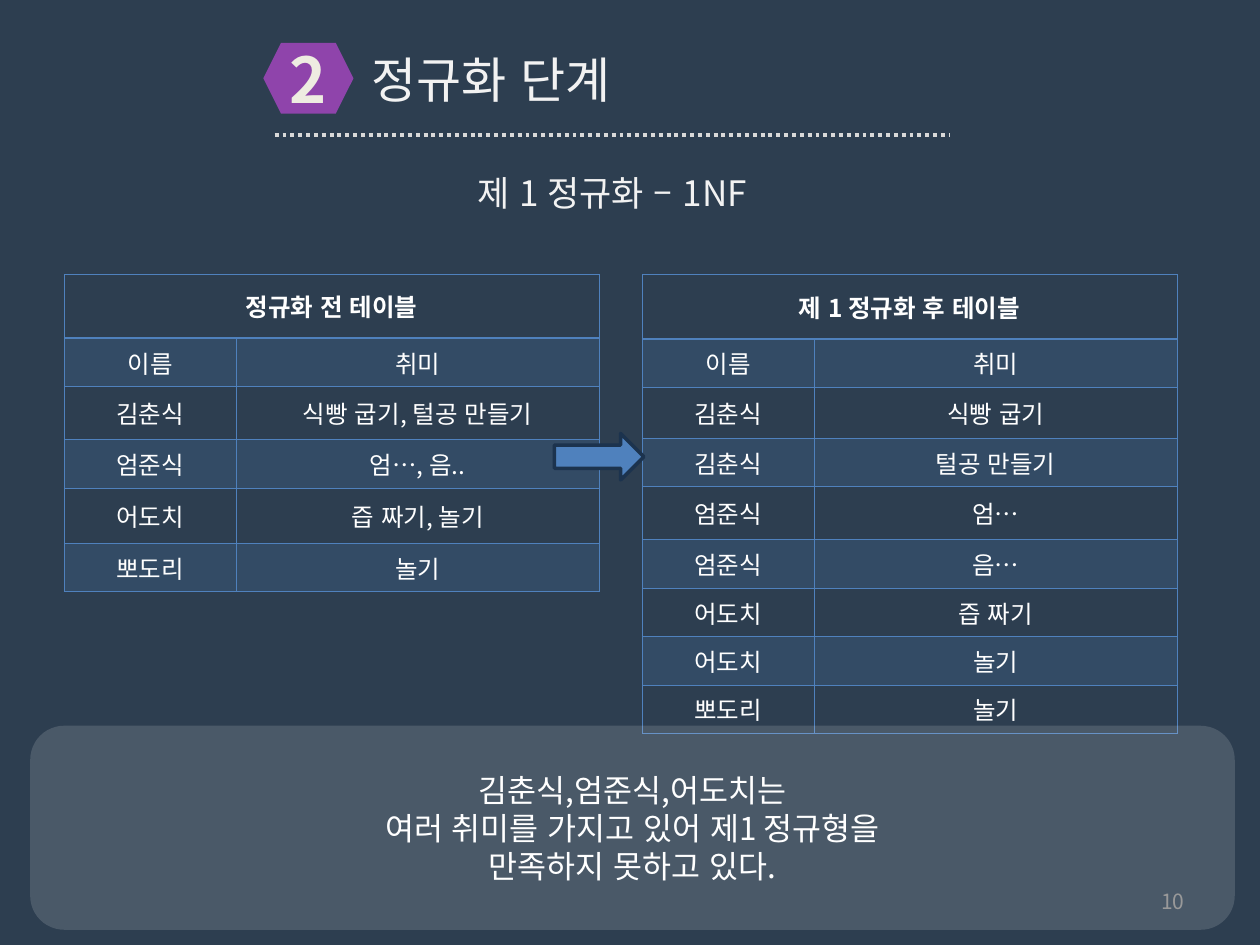
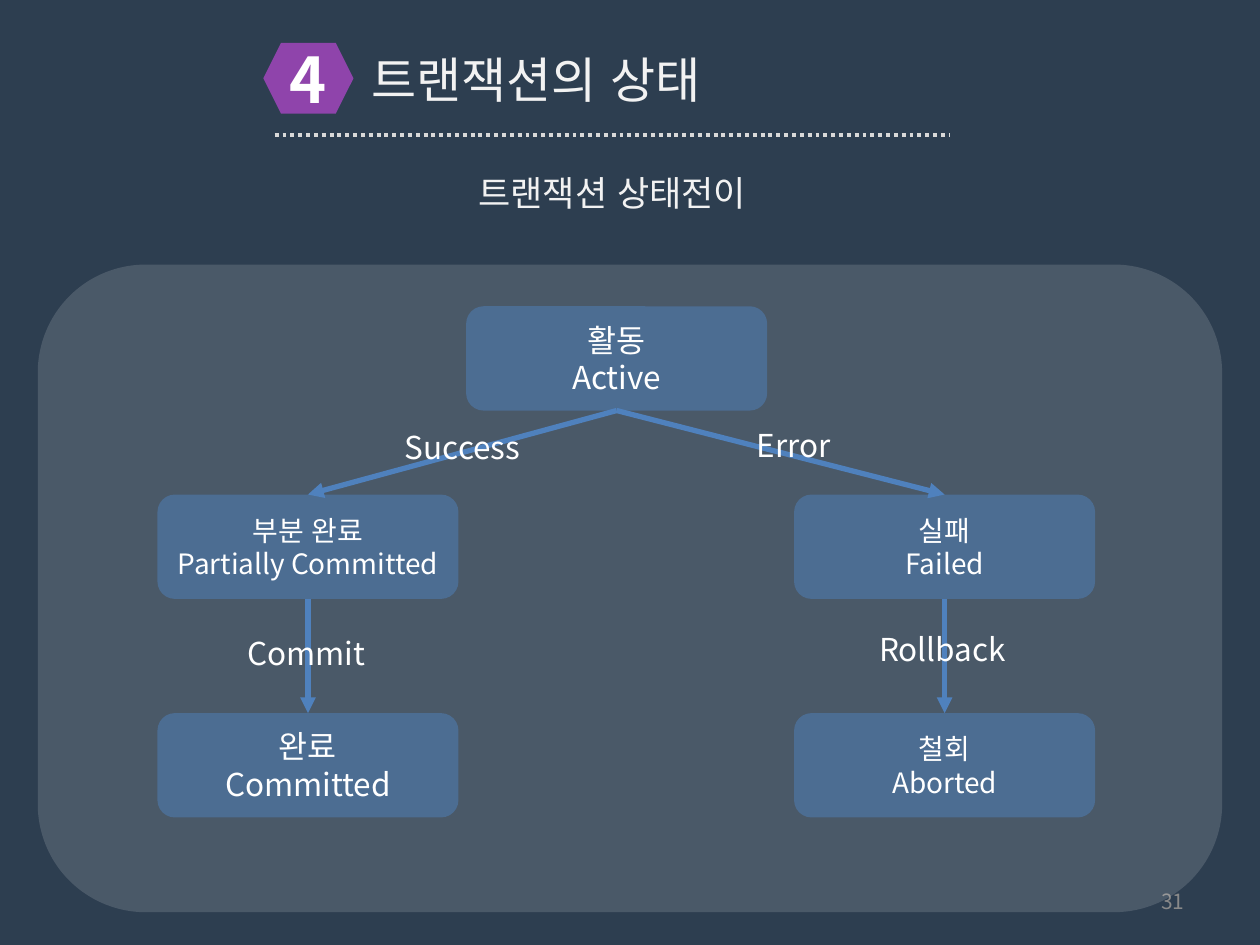
from lxml.etree import SubElement
from pptx import Presentation
from pptx.dml.color import RGBColor
from pptx.enum.dml import MSO_LINE
from pptx.enum.lang import MSO_LANGUAGE_ID
from pptx.enum.shapes import MSO_CONNECTOR, MSO_SHAPE
from pptx.enum.text import MSO_ANCHOR, MSO_AUTO_SIZE, PP_ALIGN
from pptx.oxml.ns import qn
from pptx.util import Pt

NAVY = RGBColor(0x2D, 0x3E, 0x50)
PURPLE = RGBColor(0x8F, 0x44, 0xAB)
BLUE = RGBColor(0x4F, 0x81, 0xBD)
DARK_BLUE = RGBColor(0x1C, 0x33, 0x4E)
WHITE = RGBColor(0xFF, 0xFF, 0xFF)
CREAM = RGBColor(0xEE, 0xEC, 0xE1)
PALE = RGBColor(0xF2, 0xF2, 0xF2)
DOTS = RGBColor(0xD9, 0xD9, 0xD9)
GREY = RGBColor(0x89, 0x89, 0x89)

FONT = "Noto Sans CJK KR"
TITLE_ONLY = 5
TOP_SITE, BOTTOM_SITE = 0, 2
THIN, HEADER_RULE = 0.45, 0.96


def assign(target, **values):
    for name, value in values.items():
        setattr(target, name, value)


def paint(fill, properties, color, opacity=100):
    """Solid fill, see-through when opacity is below 100 percent."""
    fill.solid()
    fill.fore_color.rgb = color
    if opacity < 100:
        tint = properties.find(qn("a:solidFill"))[0]
        SubElement(tint, qn("a:alpha"), val=str(opacity * 1000))


class SlideBuilder:
    def __init__(self, deck):
        self.deck = deck
        self.slide = None

    def start(self, number, title, subtitle, page, number_color=WHITE):
        """New slide with its title band, subtitle and page number."""
        self.slide = self.deck.slides.add_slide(self.deck.slide_layouts[TITLE_ONLY])
        background = self.slide.background.fill
        background.solid()
        background.fore_color.rgb = NAVY

        heading = self.slide.shapes.title
        assign(heading, left=Pt(205.2), top=Pt(24.5), width=Pt(380.2), height=Pt(41))
        self.set_lines(heading.text_frame, [title], 28, PALE, PP_ALIGN.LEFT,
                       MSO_ANCHOR.TOP)
        badge = self.shape(MSO_SHAPE.HEXAGON, (150.5, 24.5, 51.5, 40.5), PURPLE)
        self.set_lines(badge.text_frame, [number], 36, number_color, bold=True)
        rule = self.connector((157, 77, 543, 77), DOTS, 2.25)
        rule.line.dash_style = MSO_LINE.ROUND_DOT
        self.text((159.8, 94.3, 380.2, 31.7), subtitle, 20, PALE)
        self.text((516.2, 500.5, 167.8, 28.8), page, 12, GREY,
                  PP_ALIGN.RIGHT, MSO_ANCHOR.MIDDLE)

    def set_lines(self, frame, lines, size, color=WHITE, align=PP_ALIGN.CENTER,
                  anchor=MSO_ANCHOR.MIDDLE, bold=False):
        assign(frame, word_wrap=True, auto_size=MSO_AUTO_SIZE.NONE,
               vertical_anchor=anchor)
        for index, line in enumerate(lines):
            para = frame.paragraphs[0] if index == 0 else frame.add_paragraph()
            self.add_span(para, line, size, color, align, bold)

    def add_span(self, para, line, size, color, align, bold):
        para.alignment = align
        span = para.add_run()
        span.text = line
        assign(span.font, size=Pt(size), bold=bold, name=FONT,
               language_id=MSO_LANGUAGE_ID.KOREAN)
        span.font.color.rgb = color
        SubElement(span.font._element, qn("a:ea"), typeface=FONT)

    def text(self, area, line, size, color=WHITE, align=PP_ALIGN.CENTER,
             anchor=MSO_ANCHOR.TOP):
        box = self.slide.shapes.add_textbox(*map(Pt, area))
        self.set_lines(box.text_frame, [line], size, color, align, anchor)

    def shape(self, kind, area, color, opacity=100):
        shape = self.slide.shapes.add_shape(kind, *map(Pt, area))
        shape.shadow.inherit = False
        paint(shape.fill, shape._element.spPr, color, opacity)
        shape.line.fill.background()
        return shape

    def panel(self, area, lines=(), size=18, color=WHITE, opacity=14):
        panel = self.shape(MSO_SHAPE.ROUNDED_RECTANGLE, area, color, opacity)
        self.set_lines(panel.text_frame, lines, size)
        return panel

    def connector(self, ends, color, width):
        line = self.slide.shapes.add_connector(MSO_CONNECTOR.STRAIGHT, *map(Pt, ends))
        line.line.color.rgb = color
        line.line.width = Pt(width)
        SubElement(line._element.spPr, qn("a:effectLst"))
        return line

    def arrow(self, source, target):
        arrow = self.connector((0, 0, 0, 0), BLUE, 3)
        arrow.begin_connect(source, BOTTOM_SITE)
        arrow.end_connect(target, TOP_SITE)
        outline = arrow._element.spPr.find(qn("a:ln"))
        SubElement(outline, qn("a:tailEnd"), type="triangle")

    def table(self, left, top, widths, heights, heading, records):
        rows = [(heading, "")] + records
        table = self.slide.shapes.add_table(
            len(rows), len(widths), Pt(left), Pt(top),
            Pt(sum(widths)), Pt(sum(heights))).table
        assign(table, first_row=False, horz_banding=False)
        for column, width in zip(table.columns, widths):
            column.width = Pt(width)
        for index, (row, height, values) in enumerate(zip(table.rows, heights, rows)):
            row.height = Pt(height)
            for cell, value in zip(row.cells, values):
                self.borders(cell, index)
                cell.vertical_anchor = MSO_ANCHOR.MIDDLE
                if index % 2:
                    paint(cell.fill, cell._tc.tcPr, BLUE, 20)
                else:
                    cell.fill.background()
                if value:
                    self.add_span(cell.text_frame.paragraphs[0], value, 14, WHITE,
                                  PP_ALIGN.CENTER, index == 0)
        table.cell(0, 0).merge(table.cell(0, len(widths) - 1))

    def borders(self, cell, row):
        properties = cell._tc.get_or_add_tcPr()
        widths = {"L": THIN, "R": THIN,
                  "T": HEADER_RULE if row == 1 else THIN,
                  "B": HEADER_RULE if row == 0 else THIN}
        for side, width in widths.items():
            line = SubElement(properties, qn(f"a:ln{side}"), w=str(Pt(width)))
            fill = SubElement(line, qn("a:solidFill"))
            SubElement(fill, qn("a:srgbClr"), val=str(BLUE))


def first_normal_form(builder):
    builder.start("2", "정규화 단계", "제 1 정규화 – 1NF", "10", CREAM)

    # Tables before and after
    widths = (98.4, 207.2)
    header = ("이름", "취미")
    builder.table(36.7, 156.8, widths, (36.4, 26, 30.2, 28, 31.4, 24.4),
                  "정규화 전 테이블",
                  [header, ("김춘식", "식빵 굽기, 털공 만들기"), ("엄준식", "엄…, 음.."),
                   ("어도치", "즙 짜기, 놀기"), ("뽀도리", "놀기")])
    builder.table(367, 156.8, widths, (36.8, 26, 29.2, 27.4, 30.4) + (24.2,) * 4,
                  "제 1 정규화 후 테이블",
                  [header, ("김춘식", "식빵 굽기"), ("김춘식", "털공 만들기"),
                   ("엄준식", "엄…"), ("엄준식", "음…"), ("어도치", "즙 짜기"),
                   ("어도치", "놀기"), ("뽀도리", "놀기")])
    step = builder.shape(MSO_SHAPE.RIGHT_ARROW, (316.8, 247.7, 51.1, 26.6), BLUE)
    step.line.color.rgb = DARK_BLUE
    step.line.width = Pt(2)

    # Explanation
    builder.panel((17.3, 414.7, 688.3, 116.6),
                  ["김춘식,엄준식,어도치는", "여러 취미를 가지고 있어 제1 정규형을",
                   "만족하지 못하고 있다."])


def transaction_states(builder):
    builder.start("4", "트랜잭션의 상태", "트랜잭션 상태전이", "31")
    builder.panel((21.6, 151.2, 676.8, 370.1))

    # States
    left, middle, right = 90, 266.4, 453.8
    first, second, third = 175, 282.6, 407.5
    states = {}
    for korean, english, x, y, size in (
            ("활동", "Active", middle, first, 18),
            ("부분 완료", "Partially Committed", left, second, 16),
            ("완료", "Committed", left, third, 18),
            ("실패", "Failed", right, second, 16),
            ("철회", "Aborted", right, third, 16)):
        states[english] = builder.panel((x, y, 172, 59.6), [korean, english],
                                        size, BLUE, 50)

    # Transitions
    for source, target, label, x, y in (
            ("Active", "Partially Committed", "Success", 211, 241.2),
            ("Active", "Failed", "Error", 400.3, 239.8),
            ("Partially Committed", "Committed", "Commit", 121.7, 358.6),
            ("Failed", "Aborted", "Rollback", 485.3, 356.4)):
        builder.arrow(states[source], states[target])
        builder.text((x, y, 106.6, 28.8), label, 18)


def main():
    deck = Presentation()
    assign(deck, slide_width=Pt(720), slide_height=Pt(540))
    builder = SlideBuilder(deck)
    first_normal_form(builder)
    transaction_states(builder)
    deck.save("out.pptx")


if __name__ == "__main__":
    main()
